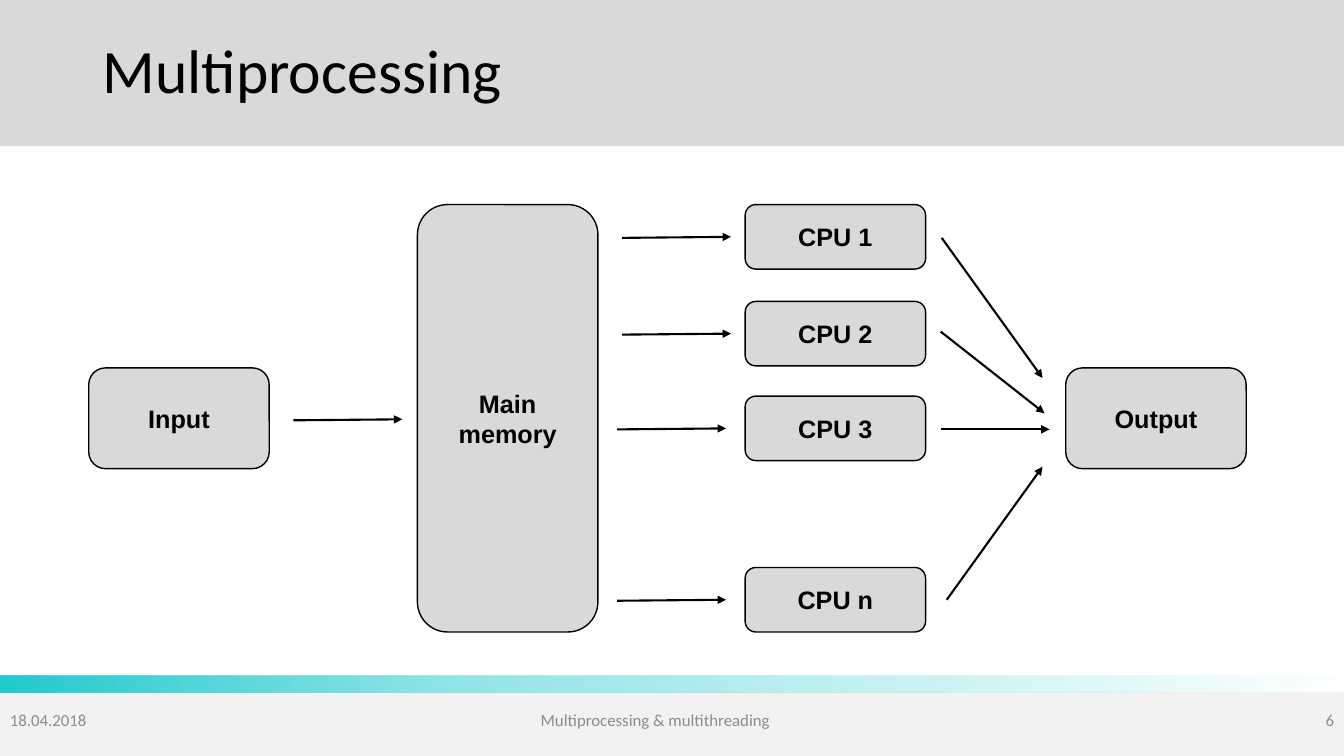
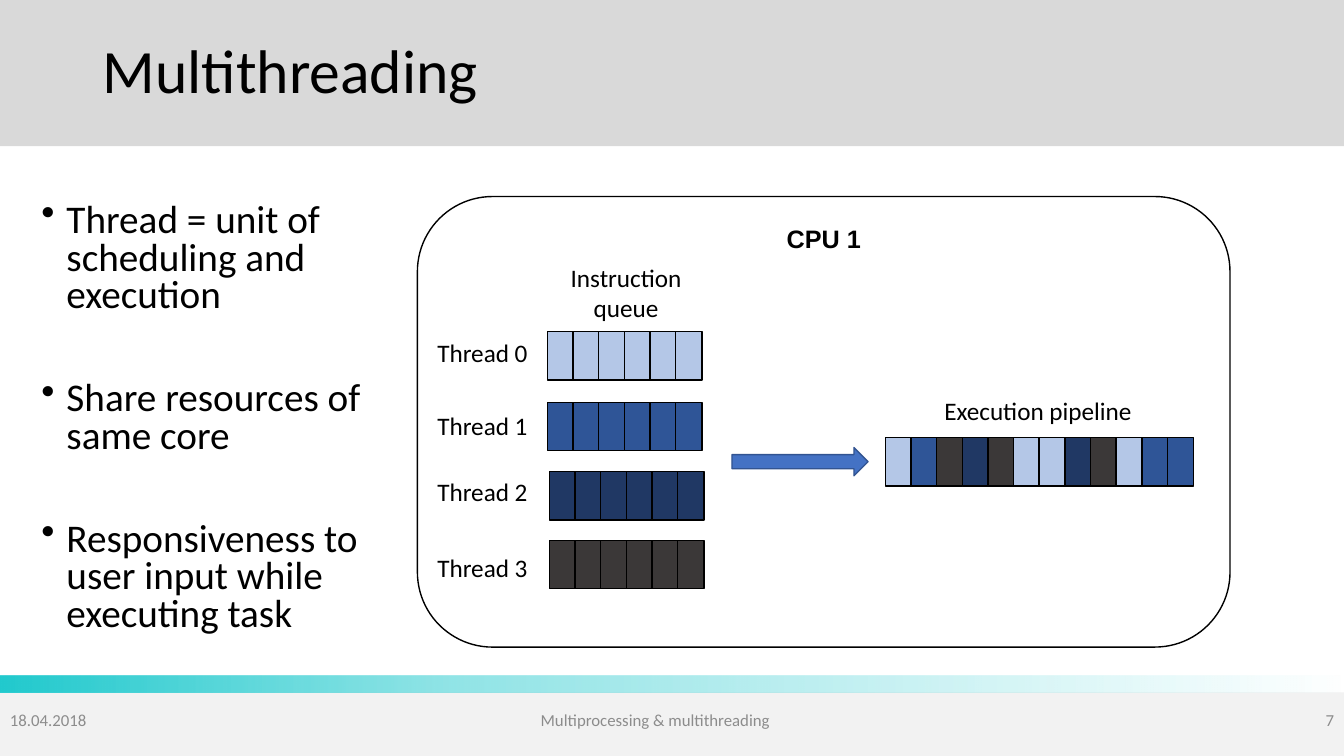
"""Build two slides on multiprocessing and multithreading."""
from lxml.etree import SubElement
from pptx import Presentation
from pptx.dml.color import RGBColor
from pptx.enum.shapes import MSO_CONNECTOR, MSO_SHAPE
from pptx.enum.text import MSO_ANCHOR, PP_ALIGN
from pptx.oxml.ns import qn
from pptx.util import Inches, Pt

WIDE, HIGH = 13.33, 7.5
BLACK = RGBColor(0x00, 0x00, 0x00)
GREY = RGBColor(0xD9, 0xD9, 0xD9)
PALE = RGBColor(0xF2, 0xF2, 0xF2)
MUTED = RGBColor(0x8C, 0x8C, 0x8C)
TEAL = RGBColor(0x22, 0xCA, 0xCE)
ARROW = RGBColor(0x44, 0x72, 0xC4)
EDGE = RGBColor(0x32, 0x54, 0x91)
LIGHT = RGBColor(0xB4, 0xC7, 0xE7)
BLUE = RGBColor(0x2F, 0x55, 0x97)
NAVY = RGBColor(0x20, 0x38, 0x64)
DARK = RGBColor(0x3B, 0x38, 0x38)
THREADS = [LIGHT, BLUE, NAVY, DARK]
LEFT, MID, RIGHT = PP_ALIGN.LEFT, PP_ALIGN.CENTER, PP_ALIGN.RIGHT

FADE = [(0, 100), (33, 50), (66, 25), (100, 0)]
FOOT = [
    ("18.04.2018", 0, 3.92, LEFT),
    ("Multiprocessing & multithreading", 3.92, 5.16, MID),
]

BOX_W, CPU_H = 1.79, 0.64
CPU_X = 7.39
BLOCKS = [
    ("Input", 0.88, 3.65, 1),
    ("Main memory", 4.14, 2.03, 4.24),
    ("Output", 10.57, 3.65, 1),
]
CPUS = [
    ("CPU 1", 2.03, 6.17, (9.34, 2.36), (10.34, 3.75)),
    ("CPU 2", 2.99, 6.17, (9.33, 3.29), (10.36, 4.1)),
    ("CPU 3", 3.93, 6.12, (9.33, 4.26), (10.41, 4.26)),
    ("CPU n", 5.63, 6.12, (9.39, 5.95), (10.34, 4.63)),
]
FLOW = 1.08

POINTS = [
    "Thread = unit of scheduling and execution",
    "Share resources of same core",
    "Responsiveness to user input while executing task",
]
CELL_W, CELL_H = 0.26, 0.48
STEP = 2.8 / 11
DEPTH = 6
QUEUES = [(5.43, 3.29, 3.3), (5.43, 3.99, 4.02), (5.45, 4.68, 4.68), (5.45, 5.36, 5.43)]
PIPE = [0, 1, 3, 2, 3, 0, 0, 2, 3, 0, 1, 1]
LABELS = [
    ("Instruction queue", 5.51, 2.55, 1.4, 0.71),
    ("Execution pipeline", 9.12, 3.87, 2.35, 0.42),
]


def write(shape, lines, size, font="Calibri", color=BLACK, align=MID,
          anchor=MSO_ANCHOR.MIDDLE, bold=False, pitch=None):
    frame = shape.text_frame
    frame.word_wrap = True
    frame.vertical_anchor = anchor
    frame.text = "\n".join(lines)
    for para in frame.paragraphs:
        para.alignment = align
        para.font.name, para.font.size = font, Pt(size)
        para.font.bold, para.font.color.rgb = bold, color
        if pitch:
            para.line_spacing = pitch
    return frame


def label(slide, text, x, y, w, h, size=18, **style):
    box = slide.shapes.add_textbox(Inches(x), Inches(y), Inches(w), Inches(h))
    return write(box, text if isinstance(text, list) else [text], size, **style)


def draw(slide, kind, x, y, w, h, fill=None, line=None):
    shape = slide.shapes.add_shape(kind, Inches(x), Inches(y), Inches(w), Inches(h))
    shape.shadow.inherit = False
    if fill is None:
        shape.fill.background()
    else:
        shape.fill.solid()
        shape.fill.fore_color.rgb = fill
    if line is None:
        shape.line.fill.background()
    else:
        shape.line.color.rgb = line
        shape.line.width = Pt(1)
    return shape


def block(slide, text, x, y, w, h, fill=GREY, anchor=MSO_ANCHOR.MIDDLE):
    shape = draw(slide, MSO_SHAPE.ROUNDED_RECTANGLE, x, y, w, h, fill, BLACK)
    write(shape, [text], 18, "Arial", bold=True, anchor=anchor)


def arrow(slide, start, end):
    ends = [Inches(n) for n in (*start, *end)]
    line = slide.shapes.add_connector(MSO_CONNECTOR.STRAIGHT, *ends)
    line.line.color.rgb = BLACK
    line.line.width = Pt(1.5)
    SubElement(line.line._get_or_add_ln(), qn("a:tailEnd"), type="triangle")
    SubElement(line._element.spPr, qn("a:effectLst"))


def fade(shape):
    shape.fill.gradient()
    shape.fill.gradient_angle = 0
    stops = shape._element.spPr.find(".//" + qn("a:gsLst"))
    for stop in list(stops):
        stops.remove(stop)
    for place, alpha in FADE:
        stop = SubElement(stops, qn("a:gs"), pos=str(place * 1000))
        color = SubElement(stop, qn("a:srgbClr"), val=str(TEAL))
        SubElement(color, qn("a:alpha"), val=str(alpha * 1000))


def cells(slide, x, y, fills):
    for i, fill in enumerate(fills):
        draw(slide, MSO_SHAPE.RECTANGLE, x + i * STEP, y, CELL_W, CELL_H, fill, BLACK)


def base(deck, title, page):
    slide = deck.slides.add_slide(deck.slide_layouts[6])
    draw(slide, MSO_SHAPE.RECTANGLE, 0, 6.87, WIDE, HIGH - 6.87, PALE)
    draw(slide, MSO_SHAPE.RECTANGLE, 0, 0, WIDE, 1.45, GREY)
    fade(draw(slide, MSO_SHAPE.RECTANGLE, 0, 6.7, WIDE, 0.17))
    label(slide, title, 0.92, 0, 11.5, 1.45, 44, align=LEFT, pitch=0.9)
    for text, x, w, align in FOOT + [(str(page), 9.09, 4.24, RIGHT)]:
        label(slide, text, x, 6.79, w, 0.71, 12, color=MUTED, align=align)
    return slide


def process(deck):
    slide = base(deck, "Multiprocessing", 6)
    for text, x, y, h in BLOCKS:
        block(slide, text, x, y, BOX_W, h)
    arrow(slide, (2.91, 4.17), (2.91 + FLOW, 4.16))
    for text, y, x, start, end in CPUS:
        block(slide, text, CPU_X, y, BOX_W, CPU_H)
        mid = y + CPU_H / 2
        arrow(slide, (x, mid + 0.01), (x + FLOW, mid))
        arrow(slide, start, end)


def bullets(slide):
    frame = label(slide, POINTS, 0.41, 1.97, 3.5, 4.4, 28, align=LEFT,
                  anchor=MSO_ANCHOR.TOP, pitch=0.8)
    frame.margin_left = frame.margin_right = 0
    for para in frame.paragraphs:
        para.space_after = Pt(46.5)
        props = para._p.get_or_add_pPr()
        props.set("marL", str(Inches(0.25)))
        props.set("indent", str(-Inches(0.25)))
        mark = props.makeelement(qn("a:buChar"), {"char": "•"})
        props.find(qn("a:defRPr")).addprevious(mark)


def thread(deck):
    slide = base(deck, "Multithreading", 7)
    bullets(slide)
    block(slide, "CPU 1", 4.14, 1.95, 8.06, 4.47, None, MSO_ANCHOR.TOP)
    for i, (x, y, top) in enumerate(QUEUES):
        cells(slide, x, y, [THREADS[i]] * DEPTH)
        label(slide, f"Thread {i}", 4.21, top, 1.15, 0.42, anchor=MSO_ANCHOR.TOP)
    for text, *place in LABELS:
        label(slide, text, *place, anchor=MSO_ANCHOR.TOP)
    draw(slide, MSO_SHAPE.RIGHT_ARROW, 7.26, 4.44, 1.35, 0.28, ARROW, EDGE)
    cells(slide, 8.78, 4.34, [THREADS[i] for i in PIPE])


def main():
    deck = Presentation()
    deck.slide_width, deck.slide_height = Inches(WIDE), Inches(HIGH)
    process(deck)
    thread(deck)
    deck.save("out.pptx")


if __name__ == "__main__":
    main()
